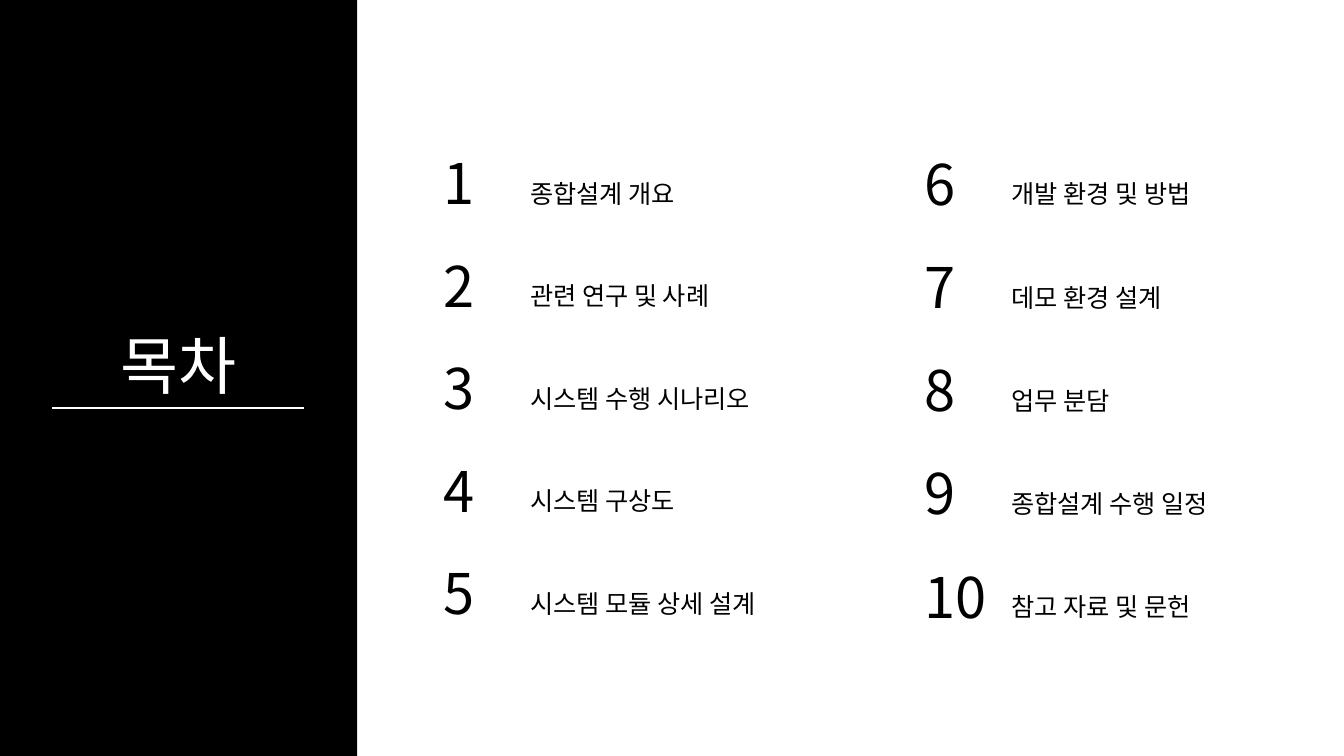
from lxml import etree
from pptx import Presentation
from pptx.dml.color import RGBColor
from pptx.enum import shapes, text
from pptx.oxml import ns
from pptx.util import Cm, Pt

FONT = "Noto Sans CJK KR"
BLACK, WHITE = "000000", "FFFFFF"
LABEL_OFFSET = 2.19, 0.36

# Left, top and row pitch in cm, first number, labels
COLUMNS = [
    (10.92, 3.63, 2.58, 1, ["종합설계 개요", "관련 연구 및 사례", "시스템 수행 시나리오",
                            "시스템 구상도", "시스템 모듈 상세 설계"]),
    (23.05, 3.64, 2.6, 6, ["개발 환경 및 방법", "데모 환경 설계", "업무 분담",
                           "종합설계 수행 일정", "참고 자료 및 문헌"]),
]


def color(value):
    return RGBColor.from_string(value)


def add_panel(page, width, height):
    panel = page.shapes.add_shape(shapes.MSO_SHAPE.RECTANGLE, 0, 0, width, height)
    panel.shadow.inherit = False
    panel.fill.solid()
    panel.fill.fore_color.rgb = color(BLACK)
    panel.line.fill.background()


def add_rule(page, left, right, top):
    rule = page.shapes.add_connector(
        shapes.MSO_CONNECTOR.STRAIGHT, Cm(left), Cm(top), Cm(right), Cm(top))
    rule.line.color.rgb = color(WHITE)
    rule.line.width = Pt(1.5)
    etree.SubElement(rule.element.spPr, ns.qn("a:effectLst"))


def add_text(page, wording, left, top, width, height, size, ink=BLACK,
             align=text.PP_ALIGN.LEFT, spacing=1.0):
    box = page.shapes.add_textbox(Cm(left), Cm(top), Cm(width), Cm(height))
    frame = box.text_frame
    frame.word_wrap = True
    frame.auto_size = text.MSO_AUTO_SIZE.SHAPE_TO_FIT_TEXT
    para = frame.paragraphs[0]
    para.text = wording
    para.alignment = align
    para.line_spacing = spacing
    para.font.name = FONT
    para.font.size = Pt(size)
    para.font.color.rgb = color(ink)
    for span in para.runs:
        east_asian = etree.SubElement(span.font._element, ns.qn("a:ea"))
        east_asian.set("typeface", FONT)


def label_width(label):
    """Width in cm of a label at 18 pt, with the box insets."""
    spaces = label.count(" ")
    return 0.51 + 0.64 * (len(label) - spaces) + 0.23 * spaces


def add_entry(page, number, label, left, top):
    digits = str(number)
    add_text(page, digits, left, top, 0.55 + 0.82 * len(digits), 1.96, 40)
    across, down = LABEL_OFFSET
    add_text(page, label, left + across, top + down, label_width(label), 1.42, 18,
             spacing=1.5)


def main():
    deck = Presentation()
    deck.slide_width, deck.slide_height = Cm(33.87), Cm(19.05)
    page = deck.slides.add_slide(deck.slide_layouts[6])
    add_panel(page, Cm(9), deck.slide_height)
    add_text(page, "목차", 2.64, 8.1, 3.71, 2.18, 45, WHITE, text.PP_ALIGN.CENTER)
    add_rule(page, 1.32, 7.67, 10.29)
    for left, top, pitch, first, labels in COLUMNS:
        for row, label in enumerate(labels):
            add_entry(page, first + row, label, left, top + row * pitch)
    deck.save("out.pptx")


if __name__ == "__main__":
    main()
